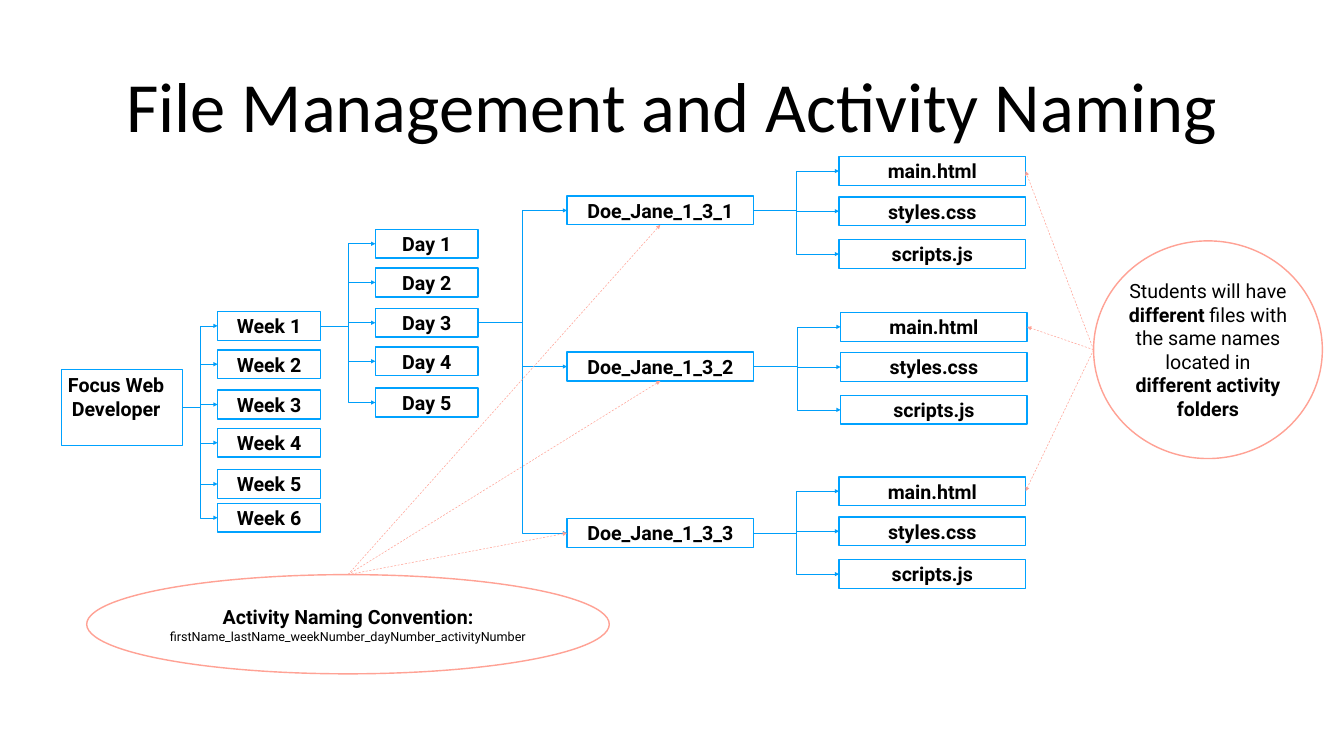
from pptx import Presentation
from pptx.dml.color import RGBColor
from pptx.enum.dml import MSO_LINE
from pptx.enum.shapes import MSO_CONNECTOR as Connector, MSO_SHAPE as Shape
from pptx.enum.text import MSO_ANCHOR as Anchor, MSO_AUTO_SIZE as AutoSize, PP_ALIGN as Align
from pptx.oxml.ns import qn
from pptx.util import Cm, Pt
from lxml.etree import SubElement

BLACK = RGBColor(0x00, 0x00, 0x00)
WHITE = RGBColor(0xFF, 0xFF, 0xFF)
BOX_BLUE = RGBColor(0x00, 0xA2, 0xFF)
LINK_BLUE = RGBColor(0x00, 0x9E, 0xF9)
CORAL = RGBColor(0xFF, 0xA2, 0x95)

TOP, LEFT, BOTTOM, RIGHT = range(4)
BOX_HEIGHT = 1.45
SMALL_WIDTH = 5.18
WIDE_WIDTH = 9.4

WEEK_LEFT, WEEK_TOPS = 10.97, [15.7, 17.63, 19.66, 21.59, 23.67, 25.37]
DAY_LEFT, DAY_TOPS = 18.92, [11.56, 13.51, 15.54, 17.48, 19.56]
ACTIVITY_LEFT, ACTIVITY_TOPS = 28.58, [9.88, 17.75, 26.14]
FILE_CORNERS = [(42.29, 7.9), (42.37, 15.75), (42.29, 24.03)]
FILE_OFFSETS = {"main.html": 0, "styles.css": 2.02, "scripts.js": 4.18}


class Diagram:
    font = "Roboto"
    size = 28
    title_font = "Calibri"
    title_size = 100.8

    def __init__(self, slide):
        self.slide = slide

    def title(self, text, left, top, width, height):
        title = self.slide.shapes.title
        title.left, title.top, title.width, title.height = map(Cm, (left, top, width, height))
        frame = title.text_frame
        frame.text = text
        frame.auto_size = AutoSize.NONE
        frame.vertical_anchor = Anchor.MIDDLE
        self.insets(frame, 0.15, 0.15, 0.15, 0.15)
        paragraph = frame.paragraphs[0]
        paragraph.alignment = Align.CENTER
        self.format(paragraph.runs[0], self.title_font, self.title_size, False)

    def format(self, run, name, size, bold):
        run.font.name = name
        run.font.size = Pt(size)
        run.font.bold = bold
        run.font.color.rgb = BLACK

    def insets(self, frame, left, top, right, bottom):
        frame.margin_left, frame.margin_top = Cm(left), Cm(top)
        frame.margin_right, frame.margin_bottom = Cm(right), Cm(bottom)

    def shape(self, kind, color, left, top, width, height, paragraphs):
        shape = self.slide.shapes.add_shape(kind, Cm(left), Cm(top), Cm(width), Cm(height))
        shape.shadow.inherit = False
        shape.fill.solid()
        shape.fill.fore_color.rgb = WHITE
        shape.line.color.rgb = color
        shape.line.width = Pt(2)
        frame = shape.text_frame
        frame.word_wrap = True
        frame.vertical_anchor = Anchor.MIDDLE
        for index, parts in enumerate(paragraphs):
            paragraph = frame.add_paragraph() if index else frame.paragraphs[0]
            paragraph.alignment = Align.CENTER
            for text, size, bold in parts:
                run = paragraph.add_run()
                run.text = text
                self.format(run, self.font, size, bold)
        return shape

    def box(self, left, top, width, *lines, height=BOX_HEIGHT):
        paragraphs = [[(line, self.size, True)] for line in lines]
        return self.shape(Shape.RECTANGLE, BOX_BLUE, left, top, width, height, paragraphs)

    def column(self, left, tops, width, labels):
        return [self.box(left, top, width, label) for top, label in zip(tops, labels)]

    def bubble(self, left, top, width, height, paragraphs):
        bubble = self.shape(Shape.OVAL, CORAL, left, top, width, height, paragraphs)
        self.insets(bubble.text_frame, 0, 0, 0, 0)
        return bubble

    def arrow(self, kind, color, start, target, side, dash=None):
        connector = self.slide.shapes.add_connector(kind, *start, *start)
        connector.end_connect(target, side)
        connector.line.color.rgb = color
        connector.line.width = Pt(0.75)
        if dash:
            connector.line.dash_style = dash
        properties = connector._element.spPr
        SubElement(properties.find(qn("a:ln")), qn("a:tailEnd"), type="triangle")
        SubElement(properties, qn("a:effectLst"))
        return connector

    def branch(self, parent, children):
        start = (parent.left + parent.width, parent.top + parent.height // 2)
        for child in children:
            connector = self.arrow(Connector.ELBOW, LINK_BLUE, start, child, LEFT)
            connector.begin_connect(parent, RIGHT)

    def pointer(self, start, target, side):
        self.arrow(Connector.STRAIGHT, CORAL, start, target, side, MSO_LINE.DASH)


def main():
    presentation = Presentation()
    presentation.slide_width, presentation.slide_height = Cm(67.74), Cm(38.1)
    diagram = Diagram(presentation.slides.add_slide(presentation.slide_layouts[5]))

    diagram.title("File Management and Activity Naming", 4.7, 2.06, 58.34, 6.35)

    course = diagram.box(3.1, 18.62, 6.1, "Focus Web", "Developer", height=3.84)
    course.text_frame.vertical_anchor = Anchor.TOP
    diagram.insets(course.text_frame, 0, 0.18, 0.6, 0)

    weeks = diagram.column(WEEK_LEFT, WEEK_TOPS, SMALL_WIDTH, [f"Week {n}" for n in range(1, 7)])
    days = diagram.column(DAY_LEFT, DAY_TOPS, SMALL_WIDTH, [f"Day {n}" for n in range(1, 6)])
    activities = diagram.column(
        ACTIVITY_LEFT, ACTIVITY_TOPS, WIDE_WIDTH, [f"Doe_Jane_1_3_{n}" for n in range(1, 4)]
    )
    diagram.branch(course, weeks)
    diagram.branch(weeks[0], days)
    diagram.branch(days[2], activities)

    main_files = []
    for activity, (left, top) in zip(activities, FILE_CORNERS):
        tops = [top + offset for offset in FILE_OFFSETS.values()]
        files = diagram.column(left, tops, WIDE_WIDTH, FILE_OFFSETS)
        diagram.branch(activity, files)
        main_files.append(files[0])

    convention = diagram.bubble(4.37, 28.96, 26.34, 5, [
        [("Activity Naming Convention:", 28, True)],
        [("firstName_lastName_weekNumber_dayNumber_activityNumber", 18, False)],
    ])
    students = diagram.bubble(55.12, 12.14, 11.53, 10.97, [[
        ("Students will have ", 28, False),
        ("different ", 28, True),
        ("files with the same names located in ", 28, False),
        ("different activity folders", 28, True),
    ]])

    convention_top = (convention.left + convention.width // 2, convention.top)
    for activity, side in zip(activities, (BOTTOM, BOTTOM, LEFT)):
        diagram.pointer(convention_top, activity, side)
    students_left = (students.left, students.top + students.height // 2)
    for main_file in main_files:
        diagram.pointer(students_left, main_file, RIGHT)

    presentation.save("out.pptx")


if __name__ == "__main__":
    main()
